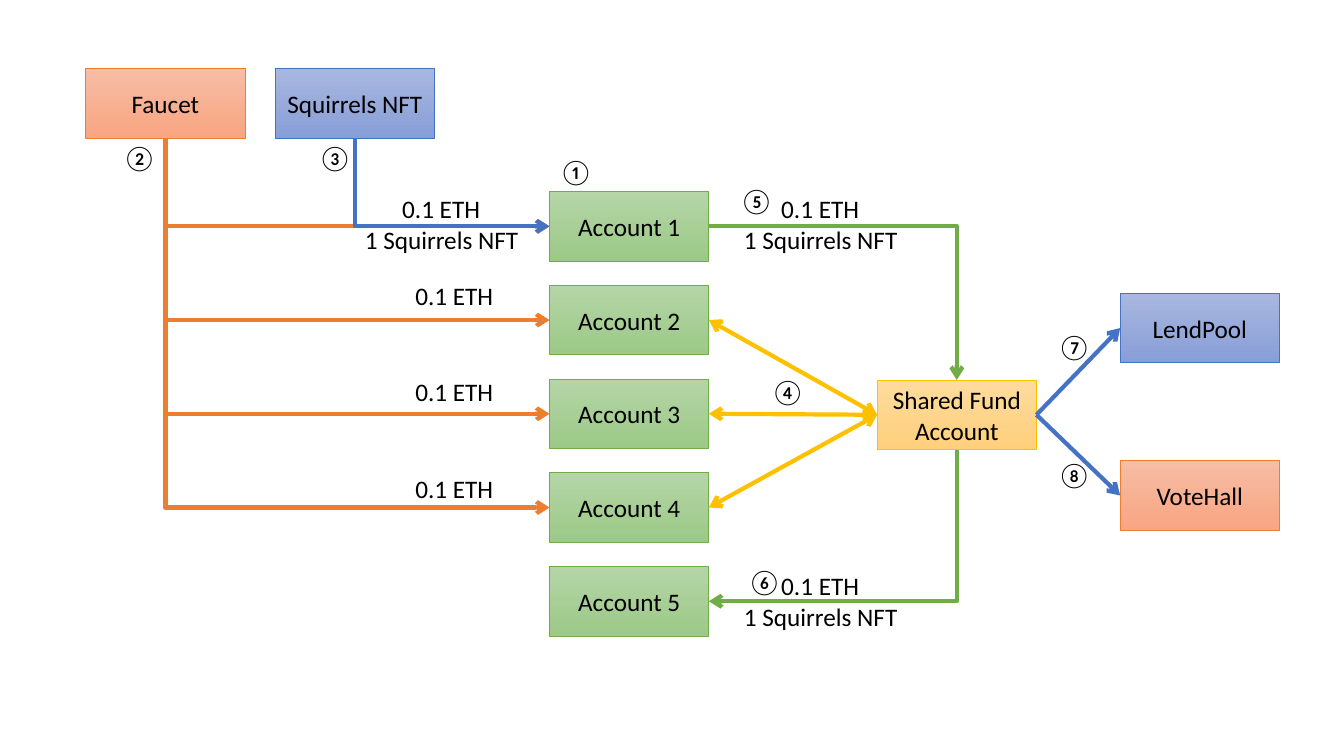
import pptx
import pptx.util
from pptx.dml.color import RGBColor
from pptx.enum.shapes import MSO_CONNECTOR, MSO_SHAPE
from pptx.enum.text import MSO_ANCHOR, MSO_AUTO_SIZE, PP_ALIGN
from pptx.oxml.ns import qn
from pptx.oxml.xmlchemy import OxmlElement
from pptx.util import Inches

COLORS = {
    "text": "000000",
    "green": "70AD47", "green_top": "B5D5A7", "green_bottom": "9CC987",
    "orange": "ED7D31", "orange_top": "F7BDA5", "orange_bottom": "F8A582",
    "blue": "4472C4", "blue_top": "A8B7DF", "blue_bottom": "889ED7",
    "gold": "FFC000", "gold_top": "FFDB9E", "gold_bottom": "FFD07C",
}
FONT = "Calibri"
BOX_WIDTH, BOX_HEIGHT = 1.58, 0.69
ACCOUNT_LEFT, ACCOUNT_TOP, ACCOUNT_STEP = 5.45, 1.9, 0.93
TOP, LEFT, BOTTOM, RIGHT = range(4)


def color(name):
    return RGBColor.from_string(COLORS[name])


def write(frame, text, align):
    frame.text = text
    paragraph = frame.paragraphs[0]
    paragraph.alignment = align
    font = paragraph.runs[0].font
    font.name = FONT
    font.size = pptx.util.Pt(18)
    font.color.rgb = color("text")


def add_box(slide, text, left, top, hue):
    box = slide.shapes.add_shape(MSO_SHAPE.RECTANGLE, Inches(left), Inches(top),
                                 Inches(BOX_WIDTH), Inches(BOX_HEIGHT))
    box.shadow.inherit = False
    box.fill.gradient()
    box.fill.gradient_angle = 270
    for stop, end in zip(box.fill.gradient_stops, ("top", "bottom")):
        stop.color.rgb = color(f"{hue}_{end}")
    box.line.color.rgb = color(hue)
    box.line.width = pptx.util.Pt(0.5)
    box.text_frame.word_wrap = True
    box.text_frame.vertical_anchor = MSO_ANCHOR.MIDDLE
    write(box.text_frame, text, PP_ALIGN.CENTER)
    return box


def add_label(slide, text, left, top, width, align=PP_ALIGN.LEFT):
    label = slide.shapes.add_textbox(Inches(left), Inches(top),
                                     Inches(width), Inches(0.4))
    label.text_frame.word_wrap = False
    label.text_frame.auto_size = MSO_AUTO_SIZE.SHAPE_TO_FIT_TEXT
    write(label.text_frame, text, align)


def add_transfer(slide, left, top):
    """Amount of ETH above an arrow, the token below it."""
    add_label(slide, "0.1 ETH", left + 0.38, top, 0.98)
    add_label(slide, "1 Squirrels NFT", left, top + 0.31, 1.74, PP_ALIGN.CENTER)


def add_arrow(slide, source, source_side, target, target_side, hue,
              kind=MSO_CONNECTOR.STRAIGHT, both_ends=False):
    arrow = slide.shapes.add_connector(kind, 0, 0, 0, 0)
    arrow.begin_connect(source, source_side)
    arrow.end_connect(target, target_side)
    arrow.line.color.rgb = color(hue)
    arrow.line.width = pptx.util.Pt(3)
    line = arrow.line._get_or_add_ln()
    for tag in ("a:headEnd", "a:tailEnd") if both_ends else ("a:tailEnd",):
        tip = OxmlElement(tag)
        tip.set("type", "arrow")
        line.append(tip)
    arrow._element.spPr.append(OxmlElement("a:effectLst"))
    return arrow


def add_bent_arrow(slide, source, source_side, target, target_side, hue):
    """Arrow with one corner; it leaves the source straight ahead."""
    arrow = add_arrow(slide, source, source_side, target, target_side, hue,
                      MSO_CONNECTOR.ELBOW)
    properties = arrow._element.spPr
    properties.find(qn("a:prstGeom")).set("prst", "bentConnector2")
    if source_side != BOTTOM:
        return
    # Going down first means turning the frame about its centre
    run, drop = arrow.end_x - arrow.begin_x, arrow.end_y - arrow.begin_y
    center_x = (arrow.begin_x + arrow.end_x) // 2
    center_y = (arrow.begin_y + arrow.end_y) // 2
    arrow.width, arrow.height = abs(drop), abs(run)
    arrow.left = center_x - arrow.width // 2
    arrow.top = center_y - arrow.height // 2
    frame = properties.find(qn("a:xfrm"))
    frame.set("rot", str((270 if run > 0 else 90) * 60000))
    frame.set("flipH", "1" if run > 0 else "0")


def main():
    deck = pptx.Presentation()
    deck.slide_width, deck.slide_height = Inches(13.33), Inches(7.5)
    slide = deck.slides.add_slide(deck.slide_layouts[6])

    # Boxes
    faucet = add_box(slide, "Faucet", 0.85, 0.68, "orange")
    nft = add_box(slide, "Squirrels NFT", 2.73, 0.68, "blue")
    accounts = [add_box(slide, f"Account {i + 1}", ACCOUNT_LEFT,
                        ACCOUNT_TOP + i * ACCOUNT_STEP, "green")
                for i in range(5)]
    fund = add_box(slide, "Shared Fund Account", 8.7, 3.77, "gold")
    lending = add_box(slide, "LendPool", 11.11, 2.91, "blue")
    voting = add_box(slide, "VoteHall", 11.11, 4.57, "orange")

    # Funding of the accounts
    for account in accounts[:4]:
        add_bent_arrow(slide, faucet, BOTTOM, account, LEFT, "orange")
    add_bent_arrow(slide, nft, BOTTOM, accounts[0], LEFT, "blue")

    # Traffic through the shared fund
    add_bent_arrow(slide, fund, BOTTOM, accounts[4], RIGHT, "green")
    for owner in accounts[1:4]:
        add_arrow(slide, owner, RIGHT, fund, LEFT, "gold", both_ends=True)
    add_bent_arrow(slide, accounts[0], RIGHT, fund, TOP, "green")
    for service in (lending, voting):
        add_arrow(slide, fund, RIGHT, service, LEFT, "blue")

    # Amounts
    for left, top in ((3.51, 1.87), (7.27, 1.87), (7.27, 5.61)):
        add_transfer(slide, left, top)
    for top in (2.73, 3.68, 4.65):
        add_label(slide, "0.1 ETH", 4.02, top, 0.98)

    # Step numbers
    step_places = {
        "①": (5.45, 1.5), "②": (1.12, 1.36), "③": (3.06, 1.36),
        "④": (7.55, 3.68), "⑤": (7.24, 1.79), "⑥": (7.32, 5.57),
        "⑦": (10.39, 3.24), "⑧": (10.39, 4.51),
    }
    for number, (left, top) in step_places.items():
        add_label(slide, number, left, top, 0.45)

    deck.save("out.pptx")


if __name__ == "__main__":
    main()
